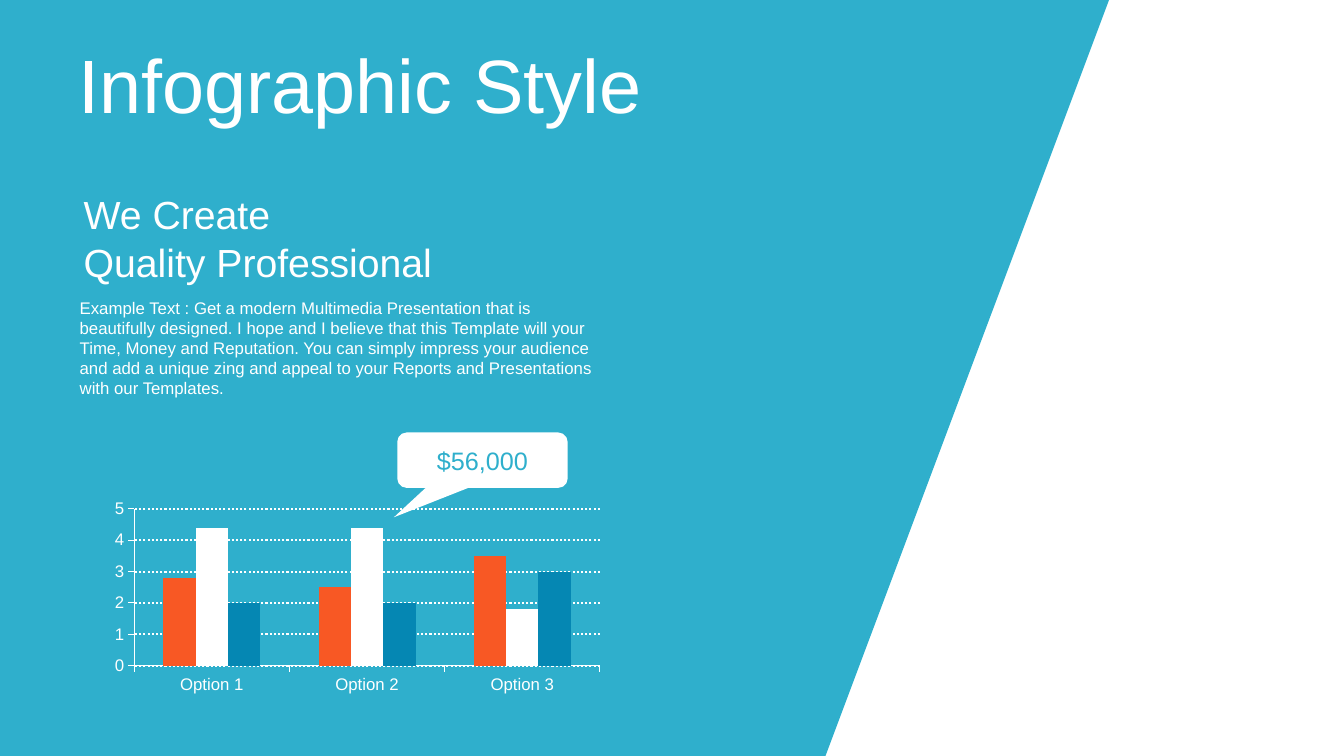
from pptx import Presentation
from pptx.chart.data import CategoryChartData
from pptx.dml.color import RGBColor
from pptx.enum.chart import XL_CHART_TYPE, XL_TICK_MARK
from pptx.enum.dml import MSO_LINE
from pptx.enum.shapes import MSO_SHAPE
from pptx.enum.text import MSO_ANCHOR, MSO_AUTO_SIZE, PP_ALIGN
from pptx.util import Inches, Pt

COLORS = {name: RGBColor.from_string(value) for name, value in {
    "teal": "2FAFCC", "white": "FFFFFF", "orange": "F85824",
    "blue": "0587B3", "black": "000000"}.items()}


def style_font(font, size, color):
    font.name = "Arial"
    font.size = Pt(size)
    font.color.rgb = COLORS[color]


def add_run(p, text, size, color="white"):
    r = p.add_run()
    r.text = text
    style_font(r.font, size, color)


prs = Presentation()
prs.slide_width = Inches(13.33)
prs.slide_height = Inches(7.5)
slide = prs.slides.add_slide(prs.slide_layouts[5])
shapes = slide.shapes

builder = shapes.build_freeform(0, 0, scale=Inches(1))
builder.add_line_segments([(11.02, 0), (7.65, 7.51), (0, 7.5)], close=True)
panel = builder.convert_to_shape()
panel.shadow.inherit = False
panel.fill.solid()
panel.fill.fore_color.rgb = COLORS["teal"]
panel.line.fill.background()

body = ("Example Text : Get a modern Multimedia Presentation that is beautifully "
        "designed. I hope and I believe that this Template will your Time, Money "
        "and Reputation. You can simply impress your audience and add a unique "
        "zing and appeal to your Reports and Presentations with our Templates.")
for text, top, width, height, size, inset, spacing in [
        ("We Create", 1.94, 2.02, 0.42, 28, 0.04, Pt(30)),
        ("Quality Professional", 2.41, 3.54, 0.42, 28, 0.04, Pt(30)),
        (body, 2.95, 5.19, 1.01, 12, 0, None)]:
    sp = shapes.add_textbox(Inches(0.79), Inches(top), Inches(width), Inches(height))
    tf = sp.text_frame
    tf.word_wrap = text == body
    tf.auto_size = MSO_AUTO_SIZE.SHAPE_TO_FIT_TEXT
    tf.margin_left = tf.margin_right = Inches(inset)
    tf.margin_top = tf.margin_bottom = 0
    p = tf.paragraphs[0]
    p.line_spacing = spacing
    add_run(p, text, size)

data = CategoryChartData()
data.categories = ["Option 1", "Option 2", "Option 3"]
data.add_series("Series 1", [2.8, 2.5, 3.5])
data.add_series("Series 2", [4.4, 4.4, 1.8])
data.add_series("Series 3", [2, 2, 3])
chart = shapes.add_chart(XL_CHART_TYPE.COLUMN_CLUSTERED, Inches(1.04), Inches(4.92),
                         Inches(5.01), Inches(2), data).chart
chart.has_legend = False
chart.has_title = False
style_font(chart.font, 18, "black")
plot = chart.plots[0]
plot.gap_width = 180
plot.overlap = 0
plot.vary_by_categories = False
for series, color in zip(plot.series, ["orange", "white", "blue"]):
    series.format.fill.solid()
    series.format.fill.fore_color.rgb = COLORS[color]
for axis in (chart.category_axis, chart.value_axis):
    axis.major_tick_mark = XL_TICK_MARK.OUTSIDE
    axis.minor_tick_mark = XL_TICK_MARK.NONE
    style_font(axis.tick_labels.font, 12, "white")
    axis.format.line.color.rgb = COLORS["white"]
    axis.format.line.width = Pt(0.75)
value_axis = chart.value_axis
value_axis.minimum_scale = 0
value_axis.maximum_scale = 5
value_axis.major_unit = 1
grid = value_axis.major_gridlines.format.line
grid.color.rgb = COLORS["white"]
grid.width = Pt(1.5)
grid.dash_style = MSO_LINE.ROUND_DOT

callout = shapes.add_shape(MSO_SHAPE.ROUNDED_RECTANGULAR_CALLOUT, Inches(3.94),
                           Inches(4.29), Inches(1.69), Inches(0.55))
callout.shadow.inherit = False
for i, value in enumerate([-0.52, 1.03, 0.17]):
    callout.adjustments[i] = value
callout.fill.solid()
callout.fill.fore_color.rgb = COLORS["white"]
callout.line.fill.background()
tf = callout.text_frame
tf.vertical_anchor = MSO_ANCHOR.MIDDLE
p = tf.paragraphs[0]
p.alignment = PP_ALIGN.CENTER
add_run(p, "$56,000", 18, "teal")

title = shapes.title
title.left, title.top = Inches(0.68), Inches(0.42)
title.width, title.height = Inches(6.81), Inches(0.92)
tf = title.text_frame
tf.word_wrap = True
tf.auto_size = MSO_AUTO_SIZE.SHAPE_TO_FIT_TEXT
tf.vertical_anchor = MSO_ANCHOR.MIDDLE
p = tf.paragraphs[0]
p.alignment = PP_ALIGN.LEFT
p.line_spacing = 0.9
add_run(p, "Infographic Style", 54)
title.element.getparent().append(title.element)

prs.save("out.pptx")
